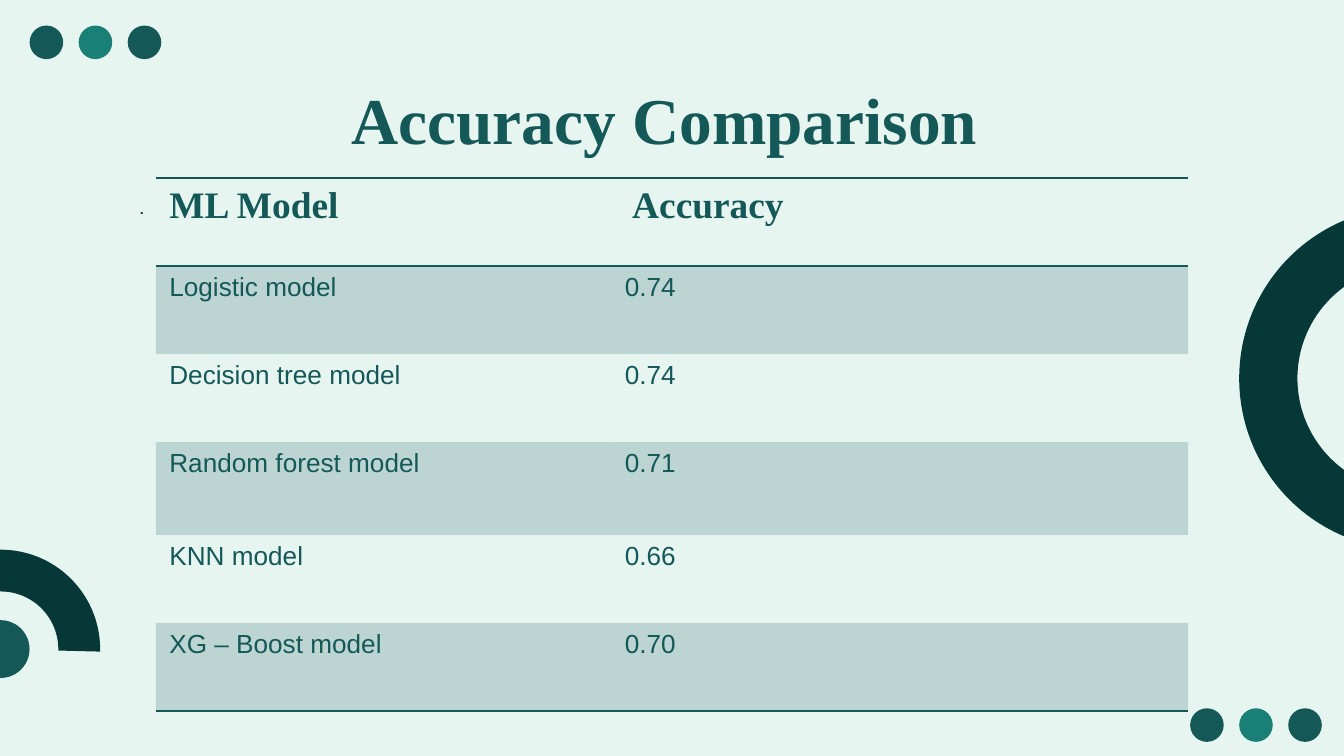
from dataclasses import dataclass

from lxml import etree
from pptx import Presentation
from pptx import util as u
from pptx.dml.color import RGBColor
from pptx.enum import shapes, text
from pptx.oxml import ns

SCALE = 4572


@dataclass(frozen=True)
class Theme:
    back: str = "E7F5F1"
    dark: str = "073838"
    main: str = "145858"
    light: str = "1A8077"
    serif: str = "Times New Roman"
    sans: str = "Arial"
    round: str = "Cabin"
    title: int = 35
    head: int = 20
    body: int = 14
    small: int = 12
    tint: int = 20


@dataclass(frozen=True)
class Disc:
    left: int
    top: int
    size: int
    color: str


@dataclass(frozen=True)
class Arc:
    left: int
    top: int
    size: int
    turn: int
    end: float
    width: float


@dataclass(frozen=True)
class Score:
    model: str
    value: str


T = Theme()
TRIOS = [(44, 38), (1771, 1054)]
STEP = 73
DISCS = [
    Disc(left + i * STEP, top, 50, color)
    for left, top in TRIOS
    for i, color in enumerate((T.main, T.light, T.main))
] + [Disc(-42, 923, 86, T.main)]
ARCS = [
    Arc(1844, 308, 510, 270, 212.6, 0.17),
    Arc(-147, 818, 296, 0, 0.86, 0.21),
]
SCORES = [
    Score("Logistic model", "0.74"),
    Score("Decision tree model", "0.74"),
    Score("Random forest model", "0.71"),
    Score("KNN model", "0.66"),
    Score("XG – Boost model", "0.70"),
]
COLS = [678, 858]
ROWS = [131, 131, 131, 138, 131, 131]


def px(n: int) -> u.Emu:
    return u.Emu(n * SCALE)


def write(para, words: str, *, size: int, font: str = T.sans,
          color: str = T.main, bold: bool = False) -> None:
    run = para.add_run()
    run.text = words
    run.font.size = u.Pt(size)
    run.font.name = font
    run.font.bold = bold
    run.font.color.rgb = RGBColor.from_string(color)


def add_box(slide, left: int, top: int, width: int, height: int):
    frame = slide.shapes.add_textbox(*map(px, (left, top, width, height))).text_frame
    frame.word_wrap = True
    frame.margin_left = frame.margin_right = px(20)
    frame.margin_top = frame.margin_bottom = px(20)
    return frame.paragraphs[0]


def add_form(slide, kind, item: Disc | Arc, color: str):
    form = slide.shapes.add_shape(
        kind, px(item.left), px(item.top), px(item.size), px(item.size))
    form.shadow.inherit = False
    form.fill.solid()
    form.fill.fore_color.rgb = RGBColor.from_string(color)
    form.line.fill.background()
    return form


def add_arc(slide, arc: Arc) -> None:
    form = add_form(slide, shapes.MSO_SHAPE.BLOCK_ARC, arc, T.dark)
    form.rotation = arc.turn
    for i, value in enumerate((108, arc.end, arc.width)):
        form.adjustments[i] = value


def add_alpha(fill, share: int) -> None:
    color = fill.find(".//" + ns.qn("a:srgbClr"))
    etree.SubElement(color, ns.qn("a:alpha"), val=str(share * 1000))


def set_edges(cell, ruled: set[str]) -> None:
    props = cell._tc.get_or_add_tcPr()
    for i, side in enumerate("LRTB"):
        edge = etree.Element(ns.qn("a:ln" + side), w=str(u.Pt(1)))
        if side in ruled:
            fill = etree.SubElement(edge, ns.qn("a:solidFill"))
            etree.SubElement(fill, ns.qn("a:srgbClr"), val=T.main)
        else:
            etree.SubElement(edge, ns.qn("a:noFill"))
        props.insert(i, edge)


def style_cell(cell, row: int) -> None:
    if row % 2:
        cell.fill.solid()
        cell.fill.fore_color.rgb = RGBColor.from_string(T.main)
        add_alpha(cell._tc.tcPr, T.tint)
    else:
        cell.fill.background()
    ruled = set()
    if row < 2:
        ruled.add("T")
    if row in (0, len(ROWS) - 1):
        ruled.add("B")
    set_edges(cell, ruled)


def add_scores(slide) -> None:
    grid = slide.shapes.add_table(
        len(ROWS), len(COLS), px(232), px(265), px(sum(COLS)), px(sum(ROWS))).table
    grid.first_row = grid.horz_banding = False
    for col, width in zip(grid.columns, COLS):
        col.width = px(width)
    for row, height in zip(grid.rows, ROWS):
        row.height = px(height)

    head = dict(size=T.head, font=T.serif, bold=True)
    first, second = (cell.text_frame.paragraphs[0] for cell in grid.rows[0].cells)
    write(first, "ML Model", **head)
    write(second, " ", size=T.body, bold=True)
    write(second, "Accuracy", **head)
    for i, score in enumerate(SCORES, 1):
        for j, words in enumerate((score.model, score.value)):
            write(grid.cell(i, j).text_frame.paragraphs[0], words, size=T.body)
    for i, row in enumerate(grid.rows):
        for cell in row.cells:
            style_cell(cell, i)


def main() -> None:
    deck = Presentation()
    deck.slide_width, deck.slide_height = px(2000), px(1125)
    slide = deck.slides.add_slide(deck.slide_layouts[6])
    slide.background.fill.solid()
    slide.background.fill.fore_color.rgb = RGBColor.from_string(T.back)

    for arc in ARCS:
        add_arc(slide, arc)
    for disc in DISCS:
        add_form(slide, shapes.MSO_SHAPE.OVAL, disc, disc.color)

    write(add_box(slide, 188, 266, 1580, 762), ".",
          size=T.small, font=T.round, color=T.dark)
    title = add_box(slide, 158, 98, 1686, 126)
    title.alignment = text.PP_ALIGN.CENTER
    write(title, "Accuracy Comparison ", size=T.title, font=T.serif, bold=True)
    add_scores(slide)
    deck.save("out.pptx")


if __name__ == "__main__":
    main()
